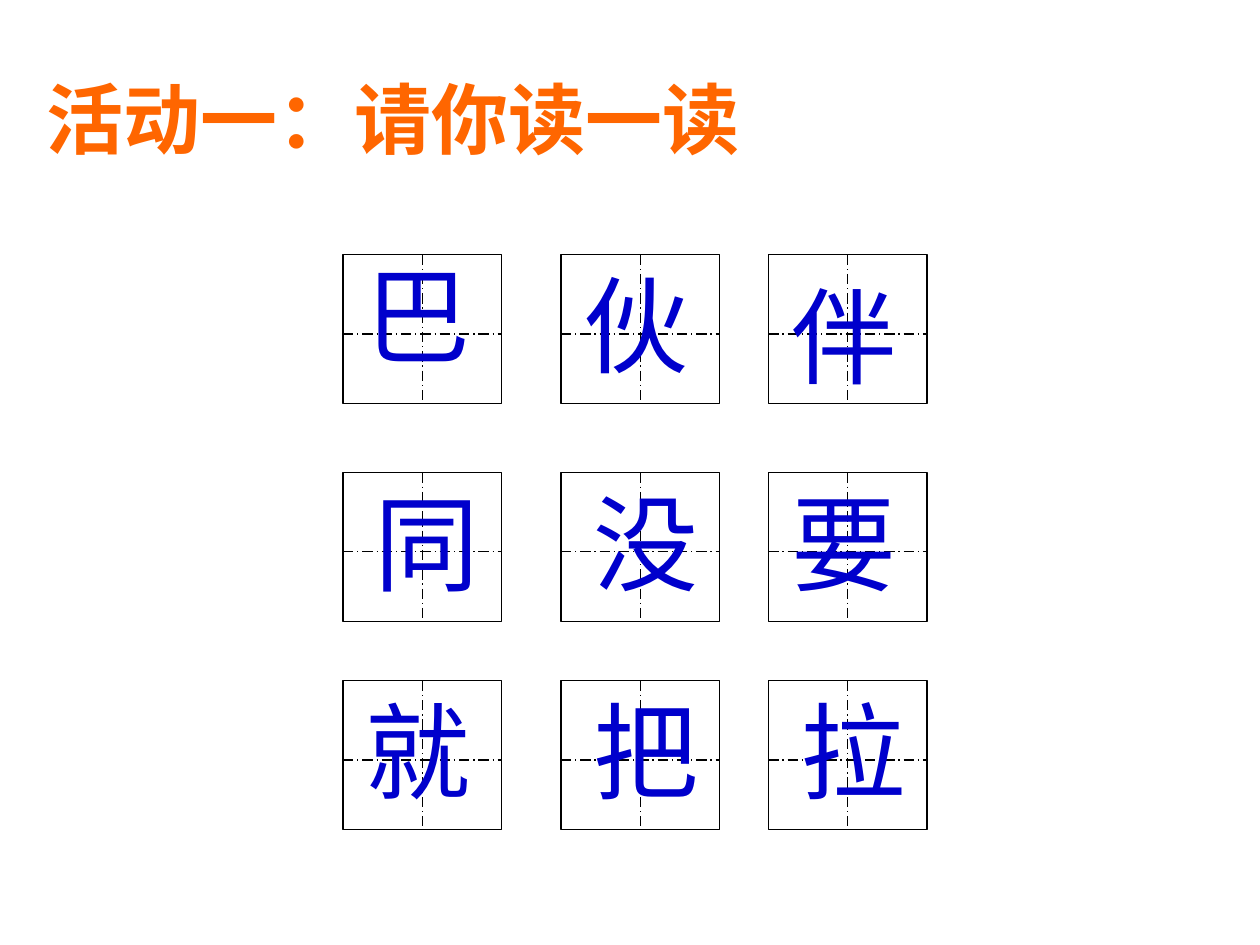
from lxml import etree
from pptx import Presentation
from pptx import util as u
from pptx.dml.color import RGBColor
from pptx.enum import dml, lang, shapes, text
from pptx.oxml.ns import qn

ORANGE = RGBColor(0xFF, 0x66, 0x00)
BLUE = RGBColor(0x00, 0x00, 0xCC)
BLACK = RGBColor(0, 0, 0)
WHITE = RGBColor(0xFF, 0xFF, 0xFF)

COLUMNS = (196, 320.5, 439)
ROWS = (145.5, 270, 389)
CELL_WIDTH, CELL_HEIGHT = 90.75, 85
MIDLINE = 45.35

# Each character with its shift from the cell corner and its box width
CHARACTERS = (
    (("巴", 6, -6, 119), ("伙", 6, 0, 63), ("伴", 6, 6, 73.5)),
    (("同", 11, 0, 70), ("没", 11.5, 0, 73.5), ("要", 6, 0, 73.5)),
    (("就", 6, 0, 73.5), ("把", 11.5, 0, 73.5), ("拉", 11.5, 0, 73.5)),
)


def write(frame, wording, *, size, color, bold=False):
    frame.word_wrap = True
    frame.auto_size = text.MSO_AUTO_SIZE.SHAPE_TO_FIT_TEXT
    frame.vertical_anchor = text.MSO_ANCHOR.TOP
    paragraph = frame.paragraphs[0]
    paragraph.alignment = text.PP_ALIGN.LEFT
    run = paragraph.add_run()
    run.text = wording
    run.font.name = "Times New Roman"
    run.font.size = u.Pt(size)
    run.font.bold = bold
    run.font.color.rgb = color
    run.font.language_id = lang.MSO_LANGUAGE_ID.SIMPLIFIED_CHINESE


class PracticeSheet:
    line_width = u.Pt(0.75)

    def __init__(self, slide):
        self.slide = slide

    def title(self, wording, left, top, width, height):
        heading = self.slide.shapes.title
        heading.left, heading.top = u.Pt(left), u.Pt(top)
        heading.width, heading.height = u.Pt(width), u.Pt(height)
        write(heading.text_frame, wording, size=44, color=ORANGE, bold=True)

    def guide(self, x1, y1, x2, y2):
        """Draw one dash-dot guide line of a writing cell."""
        guide = self.slide.shapes.add_connector(
            shapes.MSO_CONNECTOR.STRAIGHT, u.Pt(x1), u.Pt(y1), u.Pt(x2), u.Pt(y2))
        guide.line.color.rgb = BLACK
        guide.line.width = self.line_width
        guide.line.dash_style = dml.MSO_LINE.LONG_DASH_DOT
        etree.SubElement(guide._element.spPr, qn("a:effectLst"))

    def cell(self, left, top):
        square = self.slide.shapes.add_shape(
            shapes.MSO_SHAPE.RECTANGLE, u.Pt(left), u.Pt(top),
            u.Pt(CELL_WIDTH), u.Pt(CELL_HEIGHT))
        square.shadow.inherit = False
        square.fill.solid()
        square.fill.fore_color.rgb = WHITE
        square.line.color.rgb = BLACK
        square.line.width = self.line_width
        middle = left + CELL_WIDTH / 2
        self.guide(left, top + MIDLINE, left + CELL_WIDTH, top + MIDLINE)
        self.guide(middle, top, middle, top + CELL_HEIGHT)

    def character(self, glyph, left, top, width):
        box = self.slide.shapes.add_textbox(
            u.Pt(left), u.Pt(top), u.Pt(width), u.Pt(79))
        write(box.text_frame, glyph, size=60, color=BLUE)


def main():
    deck = Presentation()
    deck.slide_width, deck.slide_height = u.Pt(720), u.Pt(540)
    sheet = PracticeSheet(deck.slides.add_slide(deck.slide_layouts.get_by_name("Title Only")))
    sheet.title("活动一：请你读一读", 19.5, 37.5, 442, 60.5)
    for top, row in zip(ROWS, CHARACTERS):
        for left, (glyph, shift_x, shift_y, width) in zip(COLUMNS, row):
            sheet.cell(left, top)
            sheet.character(glyph, left + shift_x, top + shift_y, width)
    deck.save("out.pptx")


if __name__ == "__main__":
    main()
